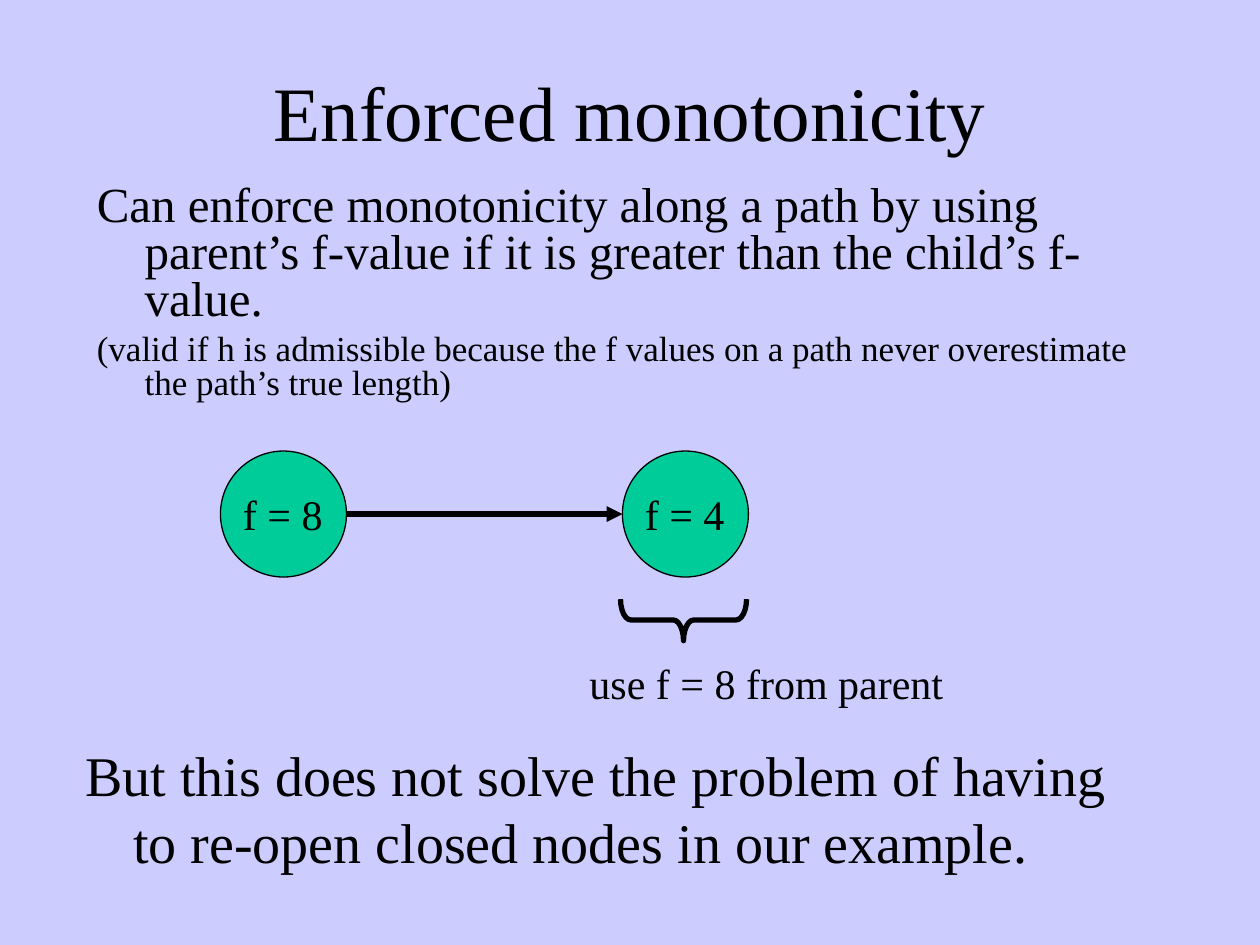
"""Build a slide on enforcing monotonicity of f-values along a path."""
from lxml import etree
from pptx import Presentation
from pptx.dml.color import RGBColor
from pptx.enum import shapes, text
from pptx.oxml import ns
from pptx.util import Inches, Pt

FONT = "Times New Roman"
INK = "000000"
NODE_FILL = "00CC99"
BACKGROUND = "CCCCFF"


def color(value):
    return RGBColor.from_string(value)


def write(paragraph, wording, size=24, align=text.PP_ALIGN.LEFT, before=0, spacing=1, hanging=0):
    paragraph.alignment = align
    paragraph.space_before = Pt(before)
    paragraph.line_spacing = spacing
    if hanging:
        properties = paragraph._p.get_or_add_pPr()
        properties.set("marL", str(Inches(hanging)))
        properties.set("indent", str(-Inches(hanging)))
    run = paragraph.add_run()
    run.text = wording
    run.font.size = Pt(size)
    run.font.name = FONT
    run.font.color.rgb = color(INK)


class SlideBuilder:
    def __init__(self, presentation):
        self.slide = presentation.slides.add_slide(presentation.slide_layouts[5])
        fill = self.slide.background.fill
        fill.solid()
        fill.fore_color.rgb = color(BACKGROUND)

    def title(self, wording, left, top, width, height):
        heading = self.slide.shapes.title
        heading.left, heading.top = Inches(left), Inches(top)
        heading.width, heading.height = Inches(width), Inches(height)
        heading.text_frame.vertical_anchor = text.MSO_ANCHOR.MIDDLE
        write(heading.text_frame.paragraphs[0], wording, size=44, align=text.PP_ALIGN.CENTER)

    def text_box(self, left, top, width, height, wrap=True):
        box = self.slide.shapes.add_textbox(Inches(left), Inches(top), Inches(width), Inches(height))
        frame = box.text_frame
        frame.word_wrap = wrap
        frame.auto_size = text.MSO_AUTO_SIZE.NONE if wrap else text.MSO_AUTO_SIZE.SHAPE_TO_FIT_TEXT
        return frame

    def label(self, wording, left, top, width, height=0.5):
        write(self.text_box(left, top, width, height, wrap=False).paragraphs[0], wording)

    def shape(self, kind, left, top, width, height, line_width):
        outline = self.slide.shapes.add_shape(
            kind, Inches(left), Inches(top), Inches(width), Inches(height))
        outline.shadow.inherit = False
        outline.line.color.rgb = color(INK)
        outline.line.width = Pt(line_width)
        return outline

    def node(self, wording, left, top, size):
        circle = self.shape(shapes.MSO_SHAPE.OVAL, left, top, size, size, 0.75)
        circle.fill.solid()
        circle.fill.fore_color.rgb = color(NODE_FILL)
        self.label(wording, left + 0.08, top + 0.25, 0.83)

    def arrow(self, start, end, y):
        edge = self.slide.shapes.add_connector(
            shapes.MSO_CONNECTOR.STRAIGHT, Inches(start), Inches(y), Inches(end), Inches(y))
        edge.line.color.rgb = color(INK)
        edge.line.width = Pt(3)
        etree.SubElement(edge.line._get_or_add_ln(), ns.qn("a:tailEnd"), type="triangle")
        etree.SubElement(edge._element.spPr, ns.qn("a:effectLst"))

    def brace(self, left, top, width, height):
        curl = self.shape(shapes.MSO_SHAPE.LEFT_BRACE, left, top, width, height, 3)
        curl.fill.background()
        curl.adjustments[0] = 0.25
        curl.rotation = 270


def main():
    presentation = Presentation()
    presentation.slide_width, presentation.slide_height = Inches(10), Inches(7.5)
    builder = SlideBuilder(presentation)

    builder.title("Enforced monotonicity", 0.75, 0.25, 8.5, 1.25)

    rule = builder.text_box(0.67, 1.42, 8.5, 2)
    write(rule.paragraphs[0],
          "Can enforce monotonicity along a path by using parent’s f-value "
          "if it is greater than the child’s f-value.",
          size=28, before=7, spacing=0.8, hanging=0.38)
    write(rule.add_paragraph(),
          "(valid if h is admissible because the f values on a path never "
          "overestimate the path’s true length)",
          size=20, before=5, spacing=0.8, hanging=0.38)

    caveat = builder.text_box(0.58, 5.83, 8.5, 1.42)
    write(caveat.paragraphs[0],
          "But this does not solve the problem of having to re-open closed "
          "nodes in our example.",
          size=32, before=8, hanging=0.38)

    parent_left, child_left, node_top, node_size = 1.75, 4.94, 3.58, 1
    builder.label("use f = 8 from parent", 4.58, 5.17, 3.01)
    builder.node("f = 8", parent_left, node_top, node_size)
    builder.arrow(parent_left + node_size, child_left, node_top + node_size / 2)
    builder.brace(5.26, 4.42, 0.33, node_size)
    builder.node("f = 4", child_left, node_top, node_size)

    presentation.save("out.pptx")


if __name__ == "__main__":
    main()
